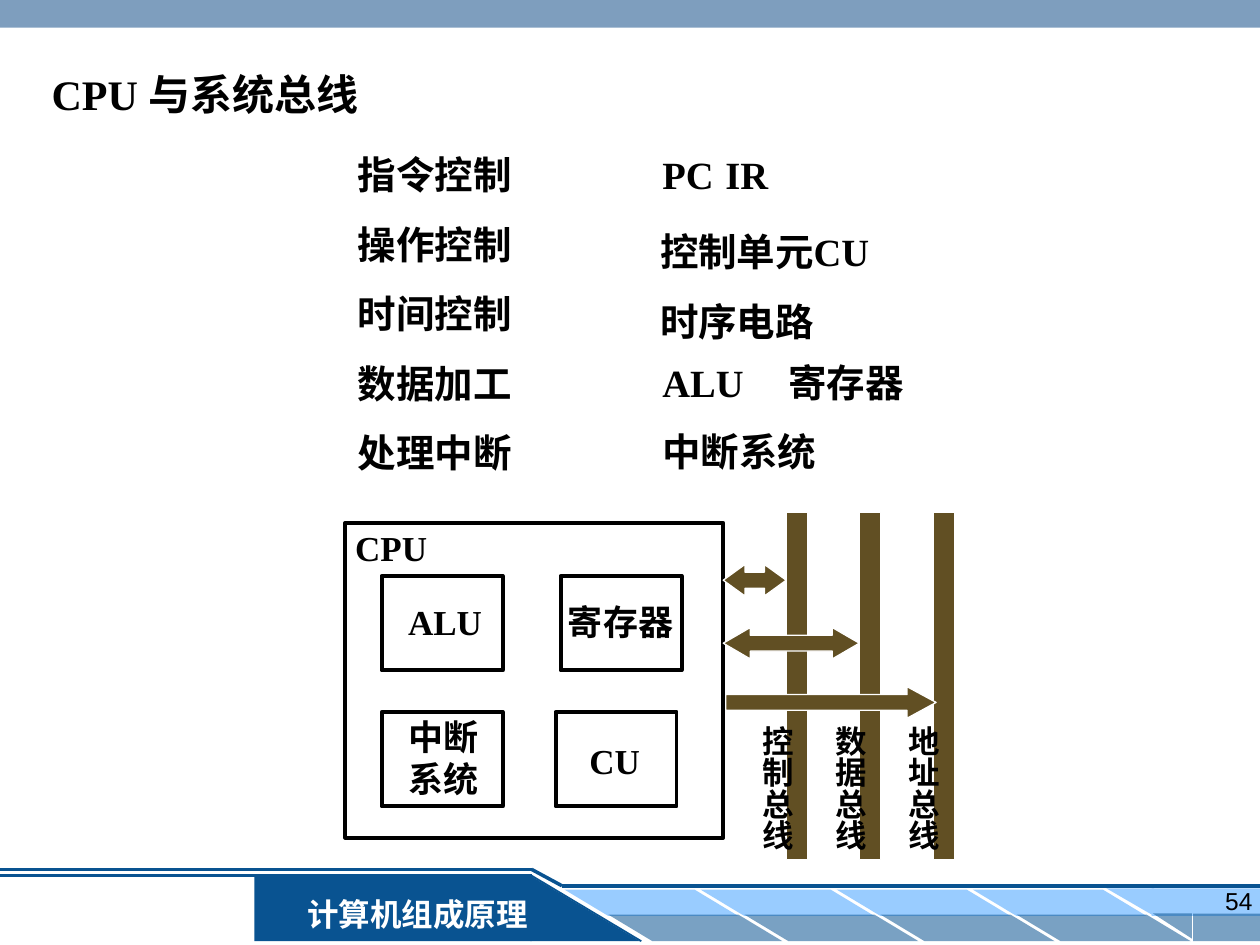
"""Build the slide on the CPU and the system buses."""
from dataclasses import dataclass

from lxml import etree
from pptx import Presentation
from pptx.dml.color import RGBColor
from pptx.enum.shapes import MSO_CONNECTOR, MSO_SHAPE
from pptx.enum.text import MSO_ANCHOR, MSO_AUTO_SIZE, PP_ALIGN
from pptx.oxml.ns import qn
from pptx.util import Inches, Pt

RECT = MSO_SHAPE.RECTANGLE
SLANT = MSO_SHAPE.PARALLELOGRAM
WEDGE = MSO_SHAPE.RIGHT_TRIANGLE
BOTH = MSO_SHAPE.LEFT_RIGHT_ARROW
RIGHT = MSO_SHAPE.RIGHT_ARROW
STRAIGHT = MSO_CONNECTOR.STRAIGHT
TOP, MIDDLE = MSO_ANCHOR.TOP, MSO_ANCHOR.MIDDLE
NO_FIT = MSO_AUTO_SIZE.NONE
START, CENTER, END = PP_ALIGN.LEFT, PP_ALIGN.CENTER, PP_ALIGN.RIGHT


@dataclass(frozen=True)
class Theme:
    navy: str = "095391"
    sky: str = "99CCFF"
    steel: str = "336699"
    bus: str = "614F23"
    ink: str = "000000"
    white: str = "FFFFFF"
    serif: str = "Times New Roman"
    sans: str = "Arial"
    title: int = 24
    body: int = 22
    unit: int = 20
    label: int = 18
    page: int = 14


theme = Theme()
deck = Presentation()
deck.slide_width, deck.slide_height = Inches(10), Inches(7.5)
slide = deck.slides.add_slide(deck.slide_layouts[1])
shapes = slide.shapes


def draw(kind, place, fill=None, edge=None, width=0.75, alpha=None, flip="", adj=()):
    shape = shapes.add_shape(kind, *map(Inches, place))
    shape.shadow.inherit = False
    for i, value in enumerate(adj):
        shape.adjustments[i] = value
    if fill:
        shape.fill.solid()
        shape.fill.fore_color.rgb = RGBColor.from_string(fill)
    else:
        shape.fill.background()
    if edge:
        shape.line.color.rgb = RGBColor.from_string(edge)
        shape.line.width = Pt(width)
    else:
        shape.line.fill.background()
    if alpha:
        tint = shape.element.spPr.find(".//" + qn("a:srgbClr"))
        etree.SubElement(tint, qn("a:alpha")).set("val", str(alpha * 1000))
    for axis in flip:
        shape.element.spPr.get_or_add_xfrm().set("flip" + axis, "1")
    return shape


def write(place, lines, size, shape=None, color=theme.ink, font=theme.serif, bold=True,
          align=START, anchor=TOP, wrap=True, space=None, gap=0, tab=None):
    shape = shape or shapes.add_textbox(0, 0, 0, 0)
    shape.left, shape.top, shape.width, shape.height = map(Inches, place)
    frame = shape.text_frame
    frame.auto_size, frame.word_wrap = NO_FIT, wrap
    frame.vertical_anchor = anchor
    for i, line in enumerate(lines):
        para = frame.add_paragraph() if i else frame.paragraphs[0]
        props = para._p.get_or_add_pPr()
        props.set("marL", "0")
        props.set("indent", "0")
        etree.SubElement(props, qn("a:buNone"))
        if tab:
            stops = etree.SubElement(props, qn("a:tabLst"))
            etree.SubElement(stops, qn("a:tab"), pos=str(Inches(tab)), algn="l")
        para.alignment = align
        para.space_before = Pt(gap if i else 0)
        if space:
            para.line_spacing = space
        run = para.add_run()
        run.text = line
        run.font.name, run.font.size, run.font.bold = font, Pt(size), bold
        run.font.color.rgb = RGBColor.from_string(color)
    return frame


draw(RECT, (2.02, 6.95, 2.2, 0.52), theme.navy)
for i in range(4):
    left = 4.48 + 1.08 * i
    draw(SLANT, (left, 7.06, 1.38, 0.21), theme.sky, flip="H", adj=[1.66])
    draw(SLANT, (left + 0.35, 7.26, 1.38, 0.21), theme.navy, alpha=54, flip="H", adj=[1.66])
draw(RECT, (9.14, 7.05, 0.86, 0.22), theme.sky)
draw(WEDGE, (8.78, 7.05, 0.38, 0.22), theme.sky, flip="HV")
draw(RECT, (9.47, 7.25, 0.53, 0.22), theme.navy, alpha=54)
draw(WEDGE, (9.15, 7.25, 0.31, 0.2), theme.navy, alpha=54, flip="HV")
draw(WEDGE, (4.21, 6.95, 0.87, 0.52), theme.navy)
for x1, y1, x2, y2, width in [
    (5.09, 7.47, 4.22, 6.95, 1),
    (4.22, 6.95, 0, 6.95, 1.5),
    (0, 6.9, 4.22, 6.9, 2),
    (4.46, 7.03, 10, 7.03, 2),
    (4.22, 6.9, 4.46, 7.03, 2),
]:
    rule = shapes.add_connector(STRAIGHT, *map(Inches, (x1, y1, x2, y2)))
    rule.line.color.rgb = RGBColor.from_string(theme.navy)
    rule.line.width = Pt(width)
    etree.SubElement(rule.element.spPr, qn("a:effectLst"))
spot = (2.29, 7.05, 2.05, 0.4)
write(spot, ["计算机组成原理"], theme.label, draw(RECT, spot, theme.navy), theme.white,
      align=CENTER, anchor=MIDDLE)
draw(RECT, (0, 0, 10, 0.22), theme.steel, alpha=63)
write((7.71, 6.98, 2.33, 0.52), ["54"], theme.page, font=theme.sans, bold=False, align=END)

write((0.31, 0.49, 3.5, 0.5), ["CPU 与系统总线"], theme.title, shapes.title)
tasks = ["指令控制", "操作控制", "时间控制", "数据加工", "处理中断"]
write((2.74, 1.15, 2.4, 2.67), tasks, theme.body, slide.placeholders[1], gap=13.3)
write((5.16, 1.15, 3, 0.47), ["PC\tIR"], theme.body, tab=0.63)
write((5.14, 1.58, 3.97, 1.2), ["控制单元CU", "时序电路"], theme.body, space=1.5)
write((5.16, 2.8, 3, 0.47), ["ALU\t寄存器"], theme.body, tab=1.1)
write((5.16, 3.35, 3, 0.47), ["中断系统"], theme.body)

draw(RECT, (2.74, 4.15, 3, 2.5), edge=theme.ink, width=2.25)
write((2.72, 4.13, 0.77, 0.44), ["CPU"], theme.unit, wrap=False)
for left, top, place, lines in [
    (3.03, 4.57, (3.14, 4.72, 0.79, 0.44), ["ALU"]),
    (4.45, 4.57, (4.41, 4.72, 1.03, 0.44), ["寄存器"]),
    (3.03, 5.65, (3.14, 5.63, 0.75, 0.77), ["中断", "系统"]),
    (4.41, 5.65, (4.58, 5.82, 0.6, 0.44), ["CU"]),
]:
    write(place, lines, theme.unit, wrap=False)
    draw(RECT, (left, top, 0.96, 0.75), edge=theme.ink, width=2.25)

buses = [(6.24, 5.87, "控制总线"), (6.82, 6.45, "数据总线"), (7.41, 7.03, "地址总线")]
for left, side, name in buses:
    draw(RECT, (left, 4.07, 0.17, 2.75), theme.bus, theme.white)
for kind, place, adj in [
    (BOTH, (5.74, 4.48, 0.5, 0.25), (0.51, 0.69)),
    (BOTH, (5.74, 4.98, 1.08, 0.25), (0.5, 0.86)),
    (RIGHT, (5.76, 5.45, 1.67, 0.25), (0.5, 0.92)),
]:
    draw(kind, place, theme.bus, theme.white, adj=adj)
for left, side, name in buses:
    frame = write((side, 5.66, 0.5, 1.1), [name], theme.label, wrap=False)
    frame.margin_left = frame.margin_right = Inches(0.05)
    frame.margin_top = frame.margin_bottom = Inches(0.1)
    frame._txBody.bodyPr.set("vert", "eaVert")

deck.save("out.pptx")
